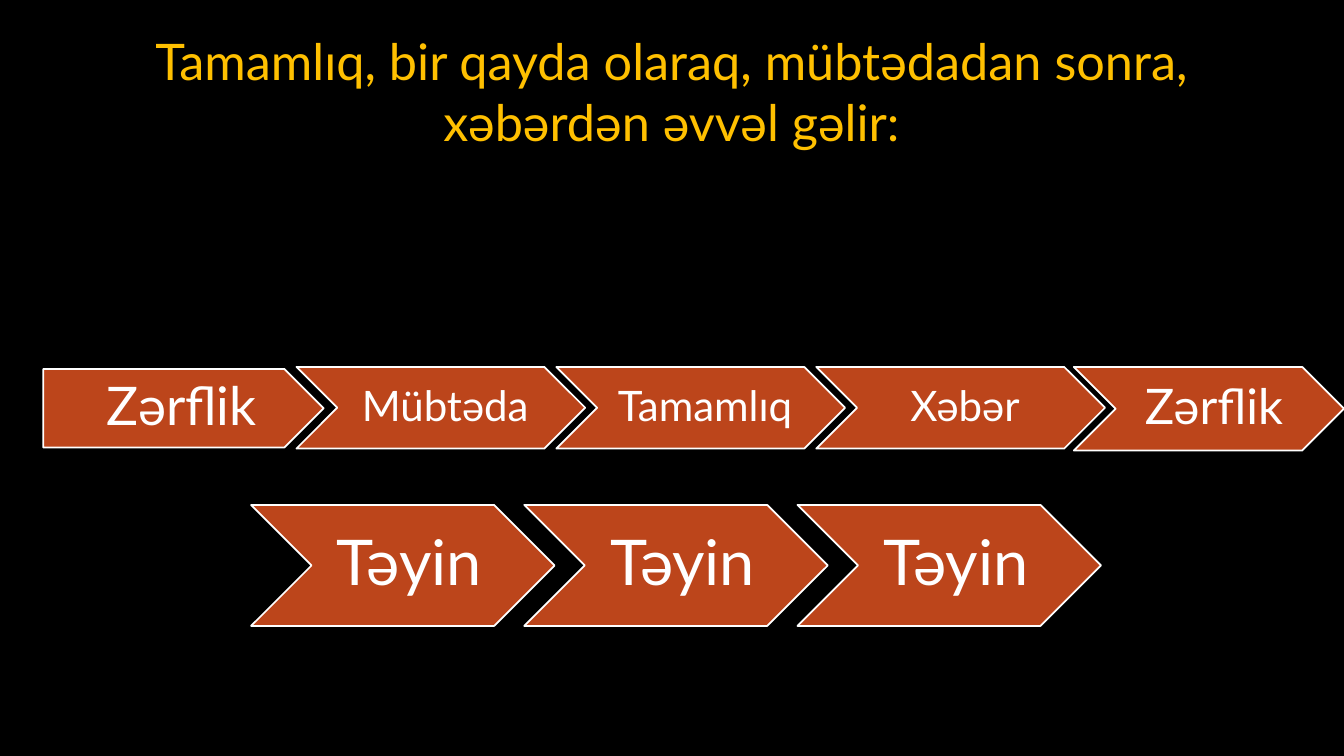
from dataclasses import dataclass

from pptx import Presentation
from pptx.dml.color import RGBColor
from pptx.enum.shapes import MSO_SHAPE
from pptx.enum.text import MSO_ANCHOR, PP_ALIGN
from pptx.util import Inches, Pt


@dataclass(frozen=True)
class Theme:
    """Colours, font and type sizes of the slide."""
    background: str = "000000"
    title: str = "FFC000"
    arrow: str = "BC451B"
    light: str = "FFFFFF"
    font: str = "Lato"
    title_size: int = 36
    member_size: int = 30
    opening_size: int = 38
    closing_size: int = 35
    attribute_size: int = 45


THEME = Theme()
COL = ROW = Inches(1)
STEP = 0.9


def grid(box):
    """Turn left, top, width and height in grid units into lengths."""
    return [round(n * unit) for n, unit in zip(box, (COL, ROW, COL, ROW))]


def write(sp, text, *, size, color, spacing=1.0, insets=(0, 0, 0, 0)):
    """Put centred text in a shape; insets are left, top, right, bottom in points."""
    tf = sp.text_frame
    tf.word_wrap = True
    tf.vertical_anchor = MSO_ANCHOR.MIDDLE
    tf.margin_left, tf.margin_top, tf.margin_right, tf.margin_bottom = map(Pt, insets)
    p = tf.paragraphs[0]
    p.alignment = PP_ALIGN.CENTER
    p.line_spacing = spacing
    r = p.add_run()
    r.text = text
    r.font.name = THEME.font
    r.font.size = Pt(size)
    r.font.color.rgb = RGBColor.from_string(color)


def add_title(s, box, text):
    """Place the title, raised by one line above the foot of its box."""
    sp = s.shapes.add_textbox(*grid(box))
    write(sp, text, size=THEME.title_size, color=THEME.title,
          insets=(7.2, 3.6, 7.2, 3.6 + 1.2 * THEME.title_size))


def add_arrows(s, box, labels, size, kind=MSO_SHAPE.CHEVRON, lead=0.32):
    """Fill the box with equal arrows that overlap by a tenth of their width."""
    left, top, width, height = box
    arrow_w = width / (1 + STEP * (len(labels) - 1))
    edge = 0.11 * size
    for i, label in enumerate(labels):
        place = left + i * STEP * arrow_w, top, arrow_w, height
        sp = s.shapes.add_shape(kind, *grid(place))
        sp.shadow.inherit = False
        sp.fill.solid()
        sp.fill.fore_color.rgb = RGBColor.from_string(THEME.arrow)
        sp.line.color.rgb = RGBColor.from_string(THEME.light)
        sp.line.width = Pt(1.25)
        write(sp, label, size=size, color=THEME.light, spacing=0.9,
              insets=(lead * size, edge, edge, edge))


def build_slide(prs):
    """Build the word order slide."""
    s = prs.slides.add_slide(prs.slide_layouts[6])
    s.background.fill.solid()
    s.background.fill.fore_color.rgb = RGBColor.from_string(THEME.background)
    add_title(s, (1, 0.67, 11.32, 1.06),
              "Tamamlıq, bir qayda olaraq, mübtədadan sonra, xəbərdən əvvəl gəlir:")
    add_arrows(s, (2.94, 3.64, 8.02, 0.81), ["Mübtəda", "Tamamlıq", "Xəbər"],
               THEME.member_size)
    add_arrows(s, (0.43, 3.66, 2.78, 0.78), ["Zərflik"], THEME.opening_size,
               kind=MSO_SHAPE.PENTAGON, lead=0.42)
    add_arrows(s, (10.65, 3.64, 2.68, 0.83), ["Zərflik"], THEME.closing_size)
    add_arrows(s, (2.49, 5.01, 8.43, 1.2), ["Təyin"] * 3, THEME.attribute_size)


def main():
    """Create and save the presentation."""
    prs = Presentation()
    prs.slide_width, prs.slide_height = Inches(13.33), Inches(7.5)
    build_slide(prs)
    prs.save("out.pptx")


if __name__ == "__main__":
    main()
